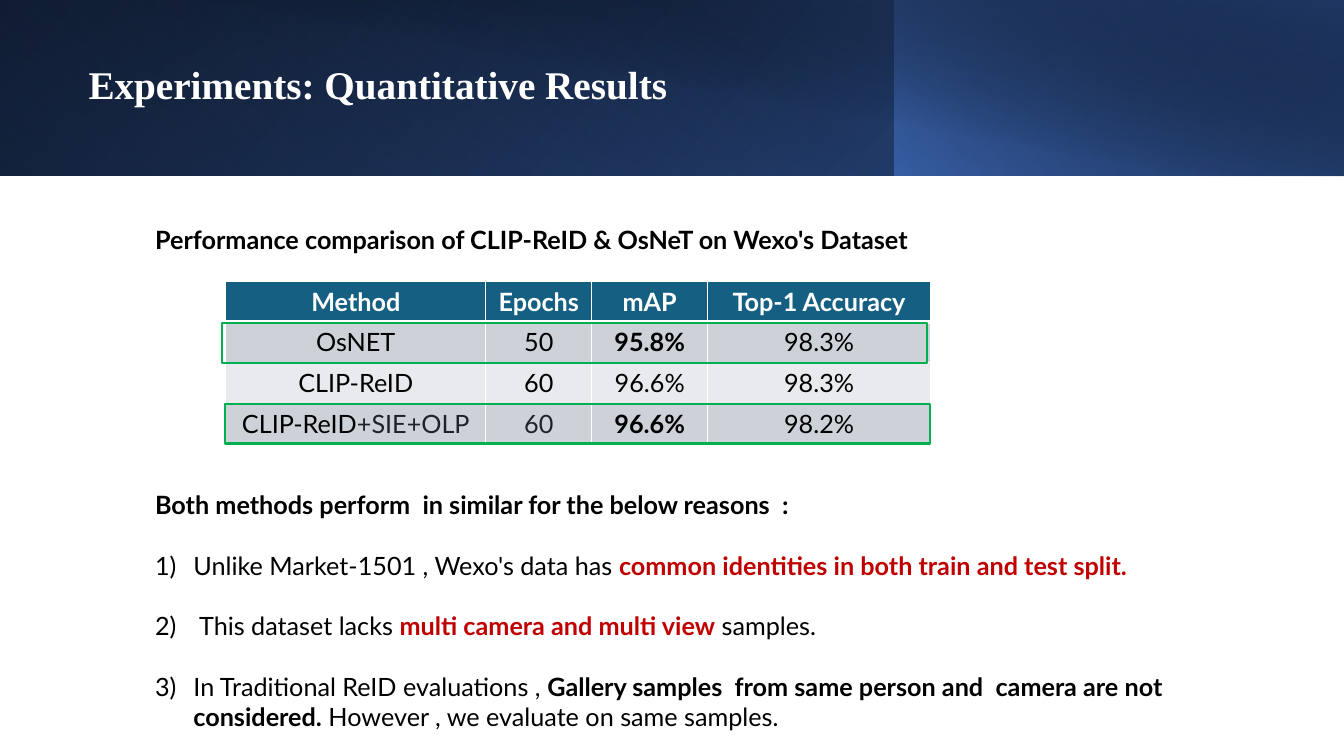
from dataclasses import dataclass

from lxml.etree import SubElement
from pptx import Presentation
from pptx.dml.color import RGBColor
from pptx.enum.shapes import MSO_SHAPE as Preset
from pptx.enum.text import MSO_ANCHOR as Anchor, PP_ALIGN as Align
from pptx.oxml import parse_xml
from pptx.oxml.ns import nsdecls, qn
from pptx.util import Emu, Inches, Pt


@dataclass(frozen=True)
class Theme:
    """Hold the colours, fonts and type sizes."""
    title_font: str = "Times New Roman"
    body_font: str = "Lato"
    title_size: int = 28
    body_size: int = 18
    line_gap: float = 21.6
    white: str = "FFFFFF"
    black: str = "000000"
    soft_black: str = "1F2328"
    red: str = "C00000"
    green: str = "00B050"
    header: str = "156082"
    odd_row: str = "CCD2D8"
    even_row: str = "E8EAED"
    blue: str = "4472C4"
    navy: str = "1F3864"
    deep_blue: str = "2F5496"


class SlideBuilder:
    """Draw elements on a slide, with lengths in percent of its size."""

    def __init__(self, presentation, theme):
        """Add a blank slide to the presentation."""
        self.theme = theme
        self.column = presentation.slide_width / 100
        self.row = presentation.slide_height / 100
        self.slide = presentation.slides.add_slide(presentation.slide_layouts[6])

    def box(self, left, top, width, height):
        """Turn shares of the slide into lengths."""
        return (Emu(round(left * self.column)), Emu(round(top * self.row)),
                Emu(round(width * self.column)), Emu(round(height * self.row)))

    def rectangle(self, place):
        """Add a plain rectangle without shadow."""
        shape = self.slide.shapes.add_shape(Preset.RECTANGLE, *self.box(*place))
        shape.shadow.inherit = False
        return shape

    def gradient_band(self, place, angle, stops, flip=True, rotation=0):
        """Add a borderless band with a linear gradient of position, colour and opacity."""
        shape = self.rectangle(place)
        shape.line.fill.background()
        shape.rotation = rotation
        properties = shape._element.spPr
        if flip:
            properties.find(qn("a:xfrm")).set("flipH", "1")
        stop_xml = "".join(
            f'<a:gs pos="{position * 1000}"><a:srgbClr val="{color}">'
            f'<a:alpha val="{opacity * 1000}"/></a:srgbClr></a:gs>'
            for position, color, opacity in stops)
        gradient = parse_xml(
            f'<a:gradFill {nsdecls("a")} rotWithShape="1"><a:gsLst>{stop_xml}</a:gsLst>'
            f'<a:lin ang="{angle * 60000}" scaled="0"/></a:gradFill>')
        properties.find(qn("a:prstGeom")).addnext(gradient)

    def outline(self, place):
        """Add a green frame."""
        shape = self.rectangle(place)
        shape.fill.background()
        shape.line.color.rgb = RGBColor.from_string(self.theme.green)
        shape.line.width = Pt(1.5)

    def add_runs(self, paragraph, runs, font=None, size=None):
        """Fill a paragraph with runs of text, colour and weight."""
        for text, color, bold in runs:
            run = paragraph.add_run()
            run.text = text
            run.font.name = font or self.theme.body_font
            run.font.size = Pt(size or self.theme.body_size)
            run.font.bold = bold
            run.font.color.rgb = RGBColor.from_string(color)

    def text_box(self, place):
        """Add a wrapping text box and return its frame."""
        text_frame = self.slide.shapes.add_textbox(*self.box(*place)).text_frame
        text_frame.word_wrap = True
        return text_frame

    def title(self, place, text):
        """Add the slide title."""
        text_frame = self.text_box(place)
        text_frame.vertical_anchor = Anchor.MIDDLE
        paragraph = text_frame.paragraphs[0]
        paragraph.line_spacing = 0.9
        self.add_runs(paragraph, [(text, self.theme.white, True)],
                      self.theme.title_font, self.theme.title_size)

    def heading_with_list(self, place, heading, items=()):
        """Add a bold heading followed by numbered items."""
        text_frame = self.text_box(place)
        self.add_runs(text_frame.paragraphs[0], [(heading, self.theme.black, True)])
        for runs in items:
            paragraph = text_frame.add_paragraph()
            paragraph.space_before = Pt(self.theme.line_gap)
            properties = paragraph._p.get_or_add_pPr()
            properties.set("marL", str(Inches(0.38)))
            properties.set("indent", str(-Inches(0.38)))
            SubElement(properties, qn("a:buAutoNum"), type="arabicParenR")
            self.add_runs(paragraph, runs)

    def cell_borders(self, cell, bottom):
        """Give a cell white borders."""
        properties = cell._tc.get_or_add_tcPr()
        for side, width in (("L", 1), ("R", 1), ("T", 1), ("B", bottom)):
            line = SubElement(properties, qn(f"a:ln{side}"), w=str(Pt(width)))
            fill = SubElement(line, qn("a:solidFill"))
            SubElement(fill, qn("a:srgbClr"), val=self.theme.white)

    def table(self, place, widths, rows):
        """Add a table whose first row is the header."""
        table = self.slide.shapes.add_table(
            len(rows), len(widths), *self.box(*place)).table
        for column, width in zip(table.columns, widths):
            column.width = Emu(round(width * self.column))
        bands = (self.theme.even_row, self.theme.odd_row)
        for row_index, row in enumerate(rows):
            for column_index, runs in enumerate(row):
                cell = table.cell(row_index, column_index)
                self.cell_borders(cell, 1 if row_index else 3)
                cell.fill.solid()
                color = bands[row_index % 2] if row_index else self.theme.header
                cell.fill.fore_color.rgb = RGBColor.from_string(color)
                paragraph = cell.text_frame.paragraphs[0]
                paragraph.alignment = Align.CENTER
                self.add_runs(paragraph, runs)


def main():
    """Build and save the slide."""
    presentation = Presentation()
    presentation.slide_width, presentation.slide_height = Inches(13.33), Inches(7.5)
    theme = Theme()
    builder = SlideBuilder(presentation, theme)
    black, white, red = theme.black, theme.white, theme.red

    builder.gradient_band((0, 0, 100, 23.2), 140,
                          [(0, black, 100), (100, theme.deep_blue, 100)])
    builder.gradient_band((0, 0, 66.6, 23.2), 230,
                          [(0, theme.blue, 0), (20, theme.blue, 0), (100, theme.navy, 54)],
                          rotation=180)
    builder.gradient_band((66.54, 0, 33.46, 23.2), 220,
                          [(0, theme.blue, 65), (100, black, 29)])
    builder.gradient_band((3.75, 0, 96.25, 23.33), 280,
                          [(0, black, 0), (50, black, 0),
                           (99, theme.navy, 51), (100, theme.navy, 51)], flip=False)
    builder.title((5.85, 5.73, 84.7, 11.6), "Experiments: Quantitative Results")

    header = [[(text, white, True)]
              for text in ("Method", "Epochs", "mAP", "Top-1 Accuracy")]
    results = [("OsNET", "50", "95.8%", "98.3%", True),
               ("CLIP-ReID", "60", "96.6%", "98.3%", False),
               ("CLIP-ReID", "60", "96.6%", "98.2%", True)]
    body = [[[(method, black, False)], [(epochs, black, False)],
             [(precision, black, best)], [(accuracy, black, False)]]
            for method, epochs, precision, accuracy, best in results]
    body[-1][0].append(("+SIE+OLP", theme.soft_black, False))
    body[-1][1] = [("60", theme.soft_black, False)]
    builder.table((16.8, 37.2, 52.44, 21.6), (19.35, 7.88, 8.63, 16.58), [header] + body)

    builder.heading_with_list(
        (10.8, 29.07, 71.27, 5.33),
        "Performance comparison of CLIP-ReID & OsNeT on Wexo's Dataset")
    builder.heading_with_list(
        (10.8, 64.13, 83.87, 33.6),
        "Both methods perform  in similar for the below reasons  :",
        [[("Unlike Market-1501 , Wexo's data has ", black, False),
          ("common identities in both train and test split.", red, True)],
         [(" This dataset lacks ", black, False),
          ("multi camera and multi view", red, True),
          (" samples.", black, False)],
         [("In Traditional ReID evaluations , ", black, False),
          ("Gallery samples  from same person and  camera are not considered.", black, True),
          (" However , we evaluate on same samples.", black, False)]])

    builder.outline((16.5, 42.67, 52.5, 5.33))
    builder.outline((16.73, 53.47, 52.5, 5.2))
    presentation.save("out.pptx")


if __name__ == "__main__":
    main()
